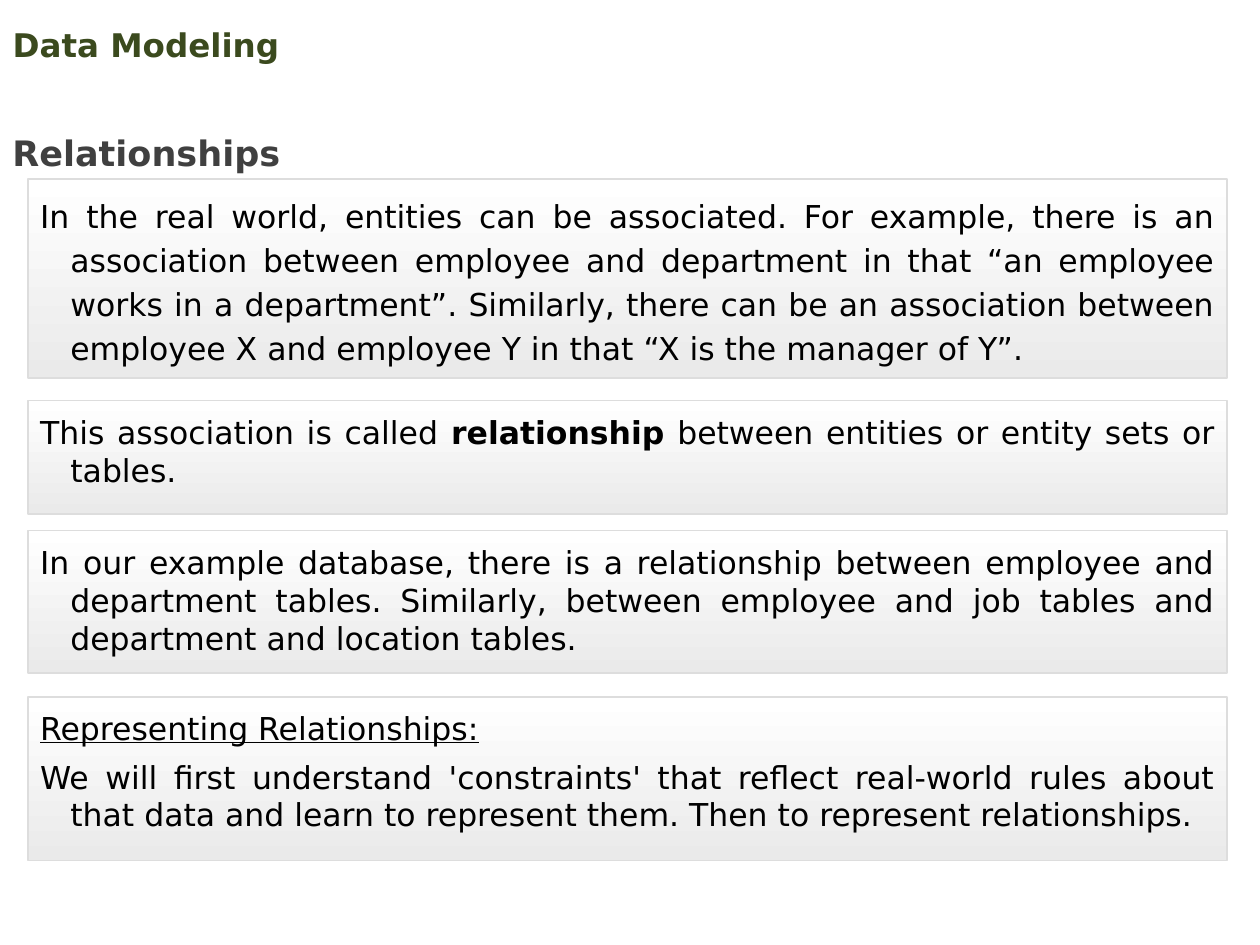
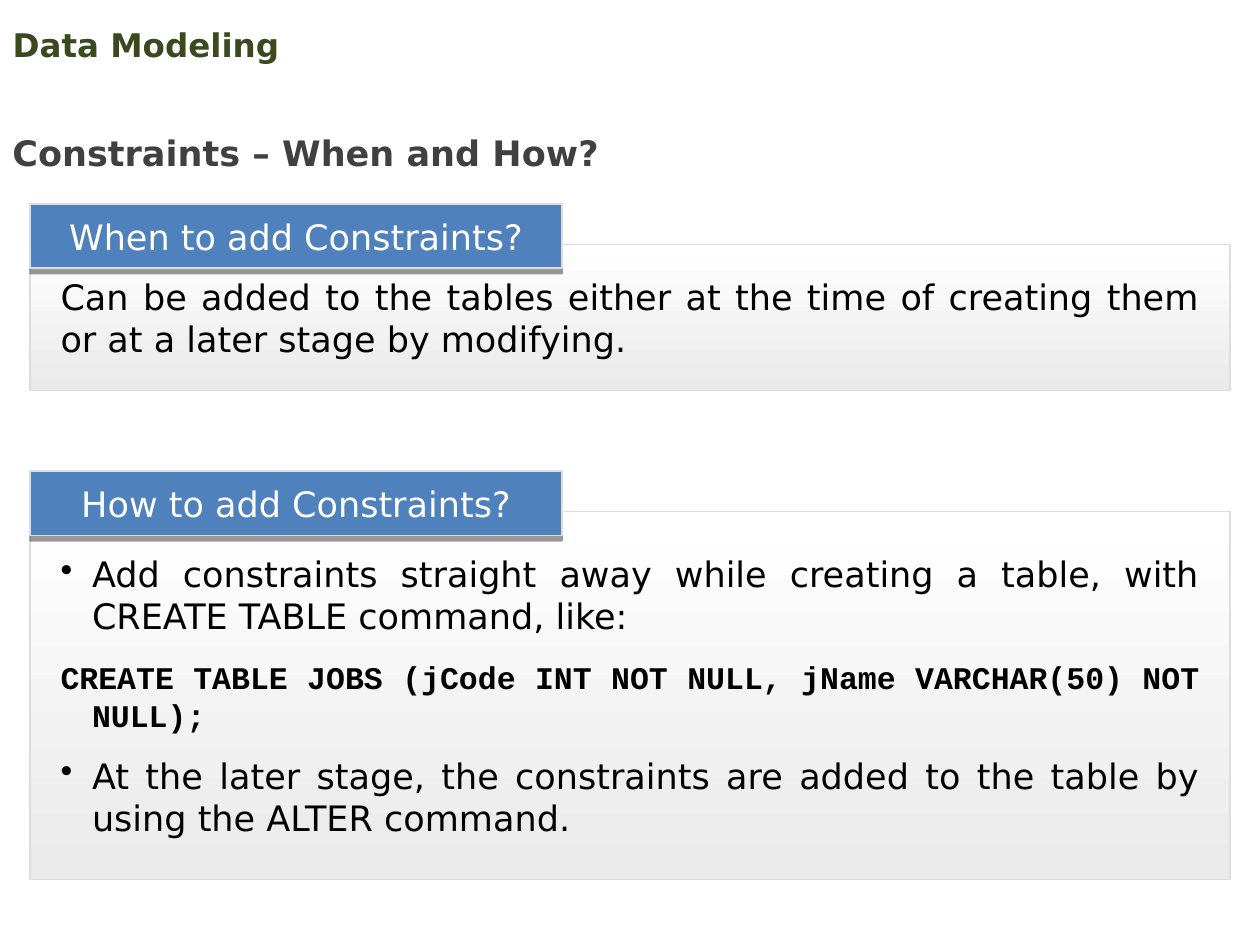
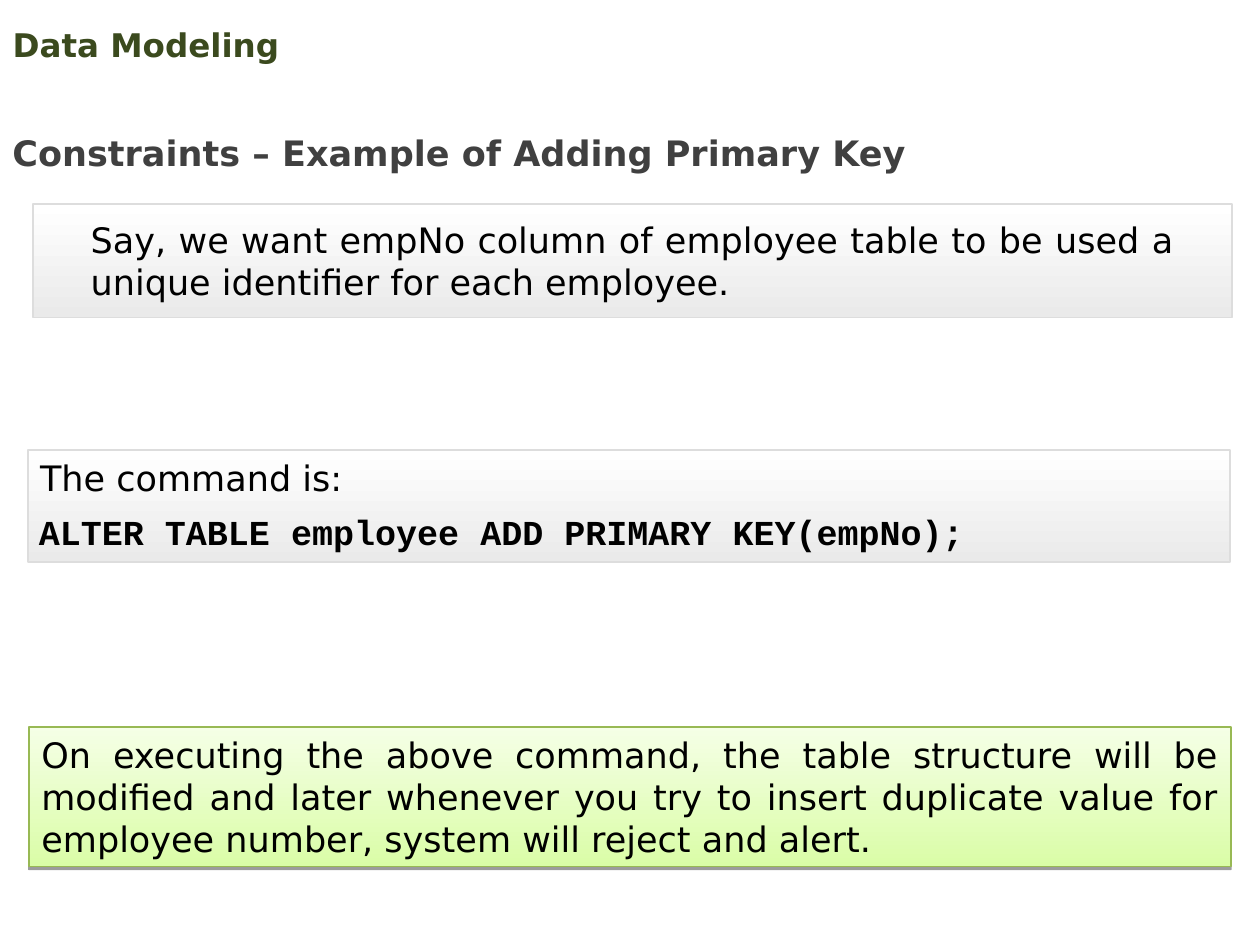
from dataclasses import dataclass

from pptx import Presentation
from pptx.dml.color import RGBColor
from pptx.enum.shapes import MSO_SHAPE
from pptx.enum.text import MSO_ANCHOR, PP_ALIGN
from pptx.oxml import parse_xml
from pptx.oxml.ns import nsdecls, qn
from pptx.util import Inches, Pt

OLIVE = RGBColor(0x3B, 0x4A, 0x1E)
CHARCOAL = RGBColor(0x40, 0x40, 0x40)
BLACK = RGBColor(0, 0, 0)
WHITE = RGBColor(0xFF, 0xFF, 0xFF)
PALE_GRAY = RGBColor(0xEA, 0xEA, 0xEA)
BORDER_GRAY = RGBColor(0xDD, 0xDD, 0xDD)
BLUE = RGBColor(0x4F, 0x81, 0xBD)
MINT = RGBColor(0xF5, 0xFF, 0xE6)
LIME = RGBColor(0xDA, 0xFD, 0xA7)
GREEN = RGBColor(0x98, 0xB9, 0x54)

SANS = "DejaVu Sans"
MONO = "Courier New"


@dataclass(frozen=True)
class Run:
    text: str
    bold: bool = False
    underline: bool = False
    font: str = SANS
    size: float | None = None


@dataclass(frozen=True)
class Para:
    runs: tuple[Run, ...]
    bullet: bool = False


@dataclass(frozen=True)
class Box:
    left: float
    top: float
    width: float
    height: float

    def emu(self):
        return tuple(Inches(v) for v in (self.left, self.top, self.width, self.height))


@dataclass(frozen=True)
class TabbedPanel:
    top: float
    height: float
    label: str
    paras: tuple[Para, ...]
    indent: float = 0


def para(text: str, bullet: bool = False, **run_format) -> Para:
    return Para((Run(text, **run_format),), bullet)


def write(shape, paras, *, size=20, color=BLACK, align=PP_ALIGN.LEFT,
          anchor=MSO_ANCHOR.TOP, insets=(0.1, 0.05), indent=0,
          space_after=0, line_spacing=None):
    """Fill a shape with paragraphs; insets are (horizontal, vertical) inches."""
    tf = shape.text_frame
    tf.word_wrap = True
    tf.vertical_anchor = anchor
    tf.margin_left = tf.margin_right = Inches(insets[0])
    tf.margin_top = tf.margin_bottom = Inches(insets[1])
    for i, item in enumerate(paras):
        p = tf.add_paragraph() if i else tf.paragraphs[0]
        p.alignment = align
        if line_spacing:
            p.line_spacing = line_spacing
        if i < len(paras) - 1:
            p.space_after = Pt(space_after)
        if indent:
            pPr = p._p.get_or_add_pPr()
            pPr.set("marL", str(Inches(indent)))
            pPr.set("indent", str(-Inches(indent)))
        if item.bullet:
            add_bullet(p)
        for run in item.runs:
            r = p.add_run()
            r.text = run.text
            r.font.name = run.font
            r.font.size = Pt(run.size or size)
            r.font.bold = run.bold
            r.font.underline = run.underline
            r.font.color.rgb = color


def add_bullet(p):
    pPr = p._p.get_or_add_pPr()
    pPr.append(parse_xml(
        f'<a:buClr {nsdecls("a")}><a:srgbClr val="{BLACK}"/></a:buClr>'))
    pPr.append(parse_xml(f'<a:buChar {nsdecls("a")} char="•"/>'))


def add_drop_shadow(shape, distance: float, opacity: int):
    effects = shape._element.spPr.find(qn("a:effectLst"))
    effects.append(parse_xml(
        f'<a:outerShdw {nsdecls("a")} blurRad="0" dist="{Pt(distance)}" '
        f'dir="5400000" rotWithShape="0"><a:srgbClr val="{BLACK}">'
        f'<a:alpha val="{opacity * 1000}"/></a:srgbClr></a:outerShdw>'))


def add_panel(shapes, box: Box, paras=(), *, colors=(WHITE, PALE_GRAY),
              border=BORDER_GRAY, border_width=1, **text_format):
    """Draw a bordered rectangle: one colour is solid, two run top to bottom."""
    sp = shapes.add_shape(MSO_SHAPE.RECTANGLE, *box.emu())
    if len(colors) == 1:
        sp.fill.solid()
        sp.fill.fore_color.rgb = colors[0]
    else:
        sp.fill.gradient()
        sp.fill.gradient_angle = 270
        for stop, color in zip(sp.fill.gradient_stops, colors):
            stop.color.rgb = color
    sp.line.color.rgb = border
    sp.line.width = Pt(border_width)
    sp.shadow.inherit = False
    write(sp, paras, **text_format)
    return sp


def add_tabbed_panel(s, panel: TabbedPanel):
    """Draw a panel with a blue label overlapping its top left corner."""
    shapes = s.shapes.add_group_shape().shapes
    add_panel(shapes, Box(0.24, panel.top, 9.52, panel.height), panel.paras,
              align=PP_ALIGN.JUSTIFY, anchor=MSO_ANCHOR.MIDDLE,
              insets=(0.24, 0), indent=panel.indent, space_after=12)
    label = add_panel(shapes, Box(0.24, panel.top - 0.32, 4.22, 0.51),
                      [para(panel.label)], colors=(BLUE,), color=WHITE,
                      align=PP_ALIGN.CENTER, anchor=MSO_ANCHOR.MIDDLE, insets=(0, 0))
    add_drop_shadow(label, distance=3, opacity=40)


def add_slide(prs, heading: str):
    s = prs.slides.add_slide(prs.slide_layouts[5])
    title = s.shapes.title
    title.left, title.top, title.width, title.height = Box(0, 0.14, 9, 0.43).emu()
    write(title, [para("Data Modeling", bold=True)], size=18.6, color=OLIVE,
          anchor=MSO_ANCHOR.MIDDLE)
    subtitle = s.shapes.add_textbox(*Box(0, 0.83, 9.57, 0.6).emu())
    write(subtitle, [para(heading, bold=True)], color=CHARCOAL, line_spacing=1.5)
    return s


def relationships(prs):
    s = add_slide(prs, "Relationships")
    panels = (
        (1.42, 1.58, Pt(25), [para(
            "In the real world, entities can be associated. For example, there is an "
            "association between employee and department in that “an employee works in "
            "a department”. Similarly, there can be an association between employee X "
            "and employee Y in that “X is the manager of Y”.")]),
        (3.18, 0.9, None, [Para((
            Run("This association is called "), Run("relationship", bold=True),
            Run(" between entities or entity sets or tables.")))]),
        (4.21, 1.13, None, [para(
            "In our example database, there is a relationship between employee and "
            "department tables. Similarly, between employee and job tables and "
            "department and location tables.")]),
        (5.53, 1.3, None, [
            para("Representing Relationships:", underline=True),
            para("We will first understand 'constraints' that reflect real-world rules "
                 "about that data and learn to represent them. Then to represent "
                 "relationships.")]),
    )
    for top, height, line_spacing, paras in panels:
        add_panel(s.shapes, Box(0.22, top, 9.52, height), paras, size=18,
                  align=PP_ALIGN.JUSTIFY, insets=(0.1, 0.1), indent=0.24,
                  space_after=6, line_spacing=line_spacing)


def when_and_how(prs):
    s = add_slide(prs, "Constraints – When and How?")
    panels = (
        TabbedPanel(1.94, 1.16, "When to add Constraints?", (
            para("Can be added to the tables either at the time of creating them or at "
                 "a later stage by modifying."),)),
        TabbedPanel(4.06, 2.92, "How to add Constraints?", (
            para("Add constraints straight away while creating a table, with CREATE "
                 "TABLE command, like:", bullet=True),
            para("CREATE TABLE JOBS (jCode INT NOT NULL, jName VARCHAR(50) NOT NULL);",
                 bold=True, font=MONO, size=18),
            para("At the later stage, the constraints are added to the table by using "
                 "the ALTER command.", bullet=True)), indent=0.25),
    )
    for panel in panels:
        add_tabbed_panel(s, panel)


def primary_key(prs):
    s = add_slide(prs, "Constraints – Example of Adding Primary Key")
    add_panel(s.shapes, Box(0.26, 1.62, 9.52, 0.9), [para(
        "Say, we want empNo column of employee table to be used a unique identifier "
        "for each employee.")],
        align=PP_ALIGN.JUSTIFY, anchor=MSO_ANCHOR.MIDDLE, insets=(0.46, 0.05))
    add_panel(s.shapes, Box(0.22, 3.57, 9.54, 0.89), [para("The command is:")])
    command = s.shapes.add_textbox(*Box(0.21, 4, 9.74, 0.44).emu())
    write(command, [para("ALTER TABLE employee ADD PRIMARY KEY(empNo);",
                         bold=True, font=MONO)])
    outcome = add_panel(s.shapes, Box(0.23, 5.77, 9.54, 1.11), [para(
        "On executing the above command, the table structure will be modified and "
        "later whenever you try to insert duplicate value for employee number, system "
        "will reject and alert.")],
        colors=(MINT, LIME), border=GREEN, border_width=0.75,
        align=PP_ALIGN.JUSTIFY, anchor=MSO_ANCHOR.MIDDLE, insets=(0.1, 0))
    add_drop_shadow(outcome, distance=1.6, opacity=38)


def main():
    prs = Presentation()
    prs.slide_width, prs.slide_height = Inches(10), Inches(7.5)
    relationships(prs)
    when_and_how(prs)
    primary_key(prs)
    prs.save("out.pptx")


if __name__ == "__main__":
    main()
